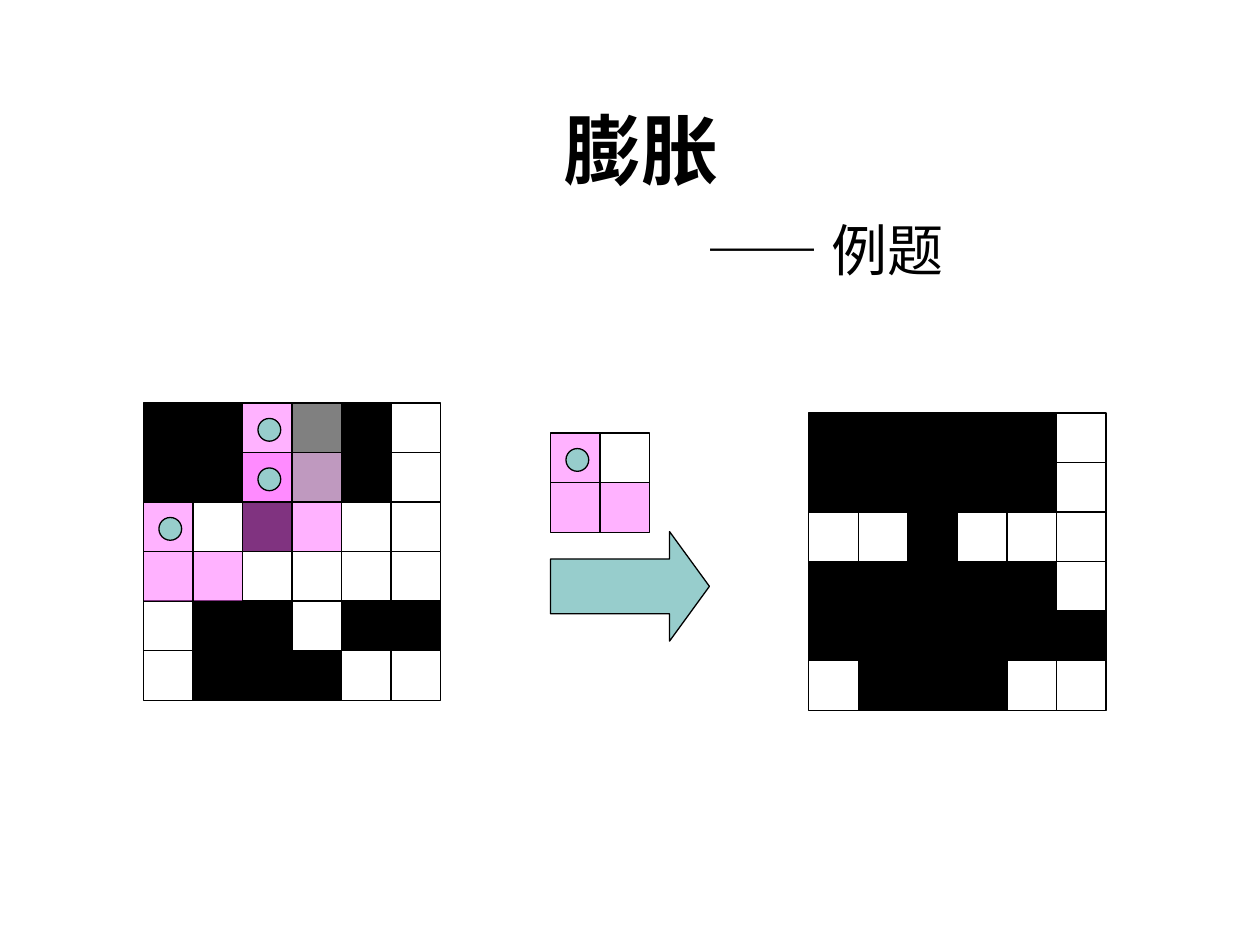
import pptx
import pptx.util
import pptx.dml.color
import pptx.enum.shapes
import pptx.enum.text
import pptx.oxml.ns
import lxml.etree

Pt = pptx.util.Pt
RGB = pptx.dml.color.RGBColor
KIND = pptx.enum.shapes.MSO_SHAPE
BLACK = RGB(0x00, 0x00, 0x00)
WHITE = RGB(0xFF, 0xFF, 0xFF)
PINK = RGB(0xFF, 0x66, 0xFF)
TEAL = RGB(0x97, 0xCD, 0xCC)
STEP = 28.3
CELL = 28.4
DOT = 13
BEFORE = ("##.##.", "##.##.", "..#...", "......", ".##.##", ".###..")
AFTER = ("#####.", "#####.", "..#...", "#####.", "######", ".###..")
MASK = ("#.", "##")
HEAD = {"name": "Montserrat", "size": Pt(44), "bold": True}
SUB = {"name": "Montserrat", "size": Pt(32), "bold": False}


def put(shapes, kind, box, fill, alpha=None):
    """Add an outlined shape, see-through if alpha is given in percent."""
    shape = shapes.add_shape(kind, *map(Pt, box))
    shape.shadow.inherit = False
    shape.fill.solid()
    shape.fill.fore_color.rgb = fill
    shape.line.color.rgb = BLACK
    shape.line.width = Pt(0.75)
    if alpha:
        tint = shape.fill._xPr.find(".//" + pptx.oxml.ns.qn("a:srgbClr"))
        lxml.etree.SubElement(tint, pptx.oxml.ns.qn("a:alpha"), val=str(alpha * 1000))
    return shape


def grid(slide, left, top, rows, dark, alpha=None):
    """Draw a grouped grid from rows of marks."""
    group = slide.shapes.add_group_shape()
    for row, marks in enumerate(rows):
        for col, mark in enumerate(marks):
            box = (left + col * STEP, top + row * STEP, CELL, CELL)
            fill = dark if mark == "#" else WHITE
            put(group.shapes, KIND.RECTANGLE, box, fill, alpha)
    return group


def kernel(slide, left, top):
    """Draw the structuring element with its origin dot."""
    group = grid(slide, left, top, MASK, PINK, 50)
    put(group.shapes, KIND.OVAL, (left + 8.8, top + 8.8, DOT, DOT), TEAL)


def source(slide, left, top):
    """Draw the input grid and the kernel at three places on it."""
    grid(slide, left, top, BEFORE, BLACK)
    for row, col in ((0, 2), (1, 2), (2, 0)):
        kernel(slide, left + col * STEP, top + row * STEP)


def arrow(slide, box):
    """Draw the arrow from input to result."""
    shape = put(slide.shapes, KIND.RIGHT_ARROW, box, TEAL)
    shape.adjustments[0] = 0.5
    shape.adjustments[1] = 0.364


def title(slide, left, top, width, height):
    """Fill the title with a heading and an indented subheading."""
    shape = slide.shapes.title
    for name, value in zip(("left", "top", "width", "height"), (left, top, width, height)):
        setattr(shape, name, Pt(value))
    frame = shape.text_frame
    frame.word_wrap = True
    frame.auto_size = pptx.enum.text.MSO_AUTO_SIZE.NONE
    frame.vertical_anchor = pptx.enum.text.MSO_ANCHOR.BOTTOM
    frame.margin_bottom = Pt(6)
    frame.text = "膨胀 \n—— 例题"
    for para, form in zip(frame.paragraphs, (HEAD, SUB)):
        para.alignment = pptx.enum.text.PP_ALIGN.CENTER
        font = para.runs[0].font
        for name, value in form.items():
            setattr(font, name, value)
        font.color.rgb = BLACK
    sub = frame.paragraphs[1]
    sub.space_before = Pt(12)
    sub._p.get_or_add_pPr().set("marL", str(Pt(200)))


def main():
    """Build and save the slide."""
    deck = pptx.Presentation()
    deck.slide_width, deck.slide_height = Pt(720), Pt(540)
    slide = deck.slides.add_slide(deck.slide_layouts[5])
    title(slide, 68.4, 77.8, 606.2, 90)
    source(slide, 82, 230.3)
    arrow(slide, (314.6, 303.8, 90.8, 62.6))
    kernel(slide, 314.6, 247.5)
    grid(slide, 462.2, 236, AFTER, BLACK)
    deck.save("out.pptx")


if __name__ == "__main__":
    main()
